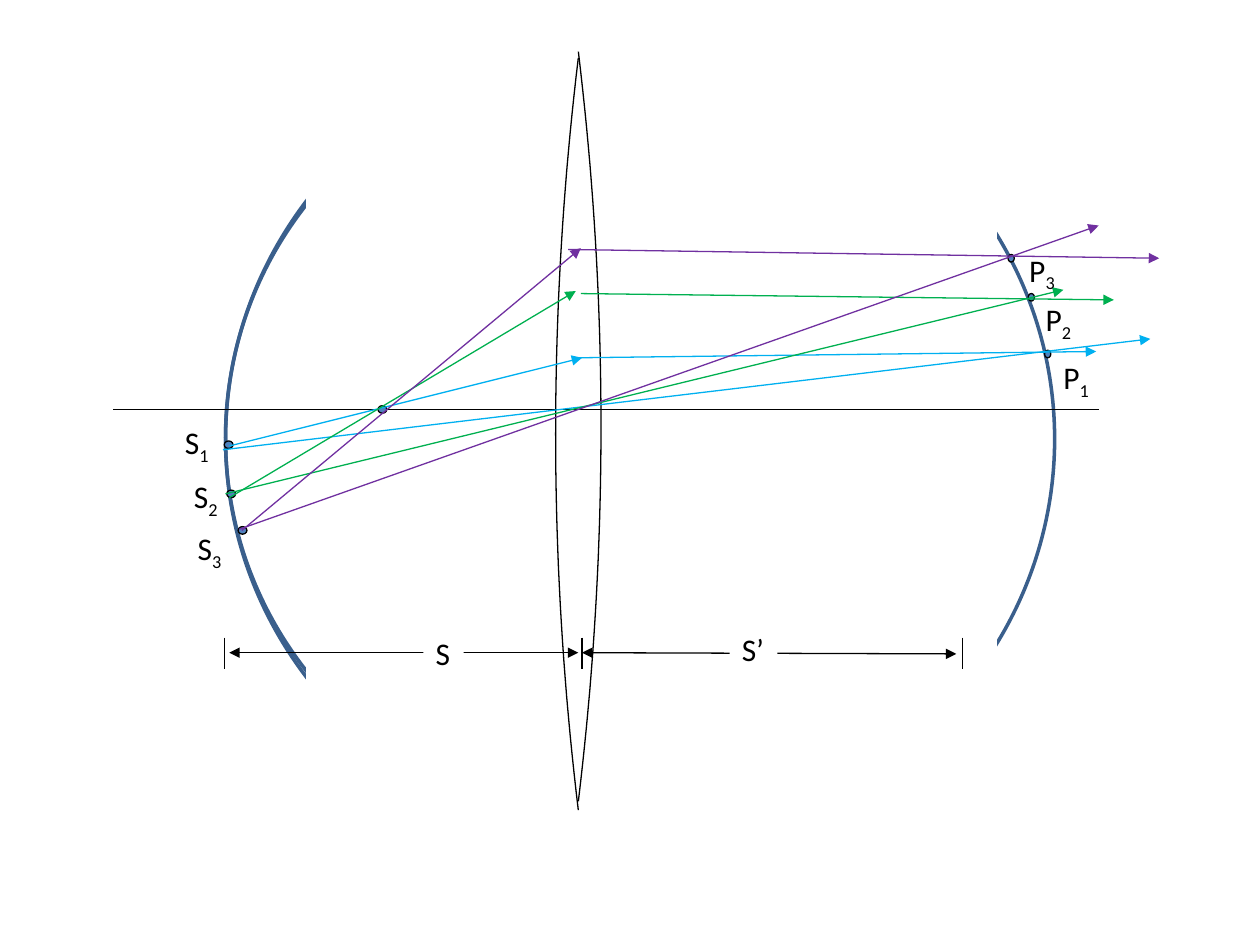
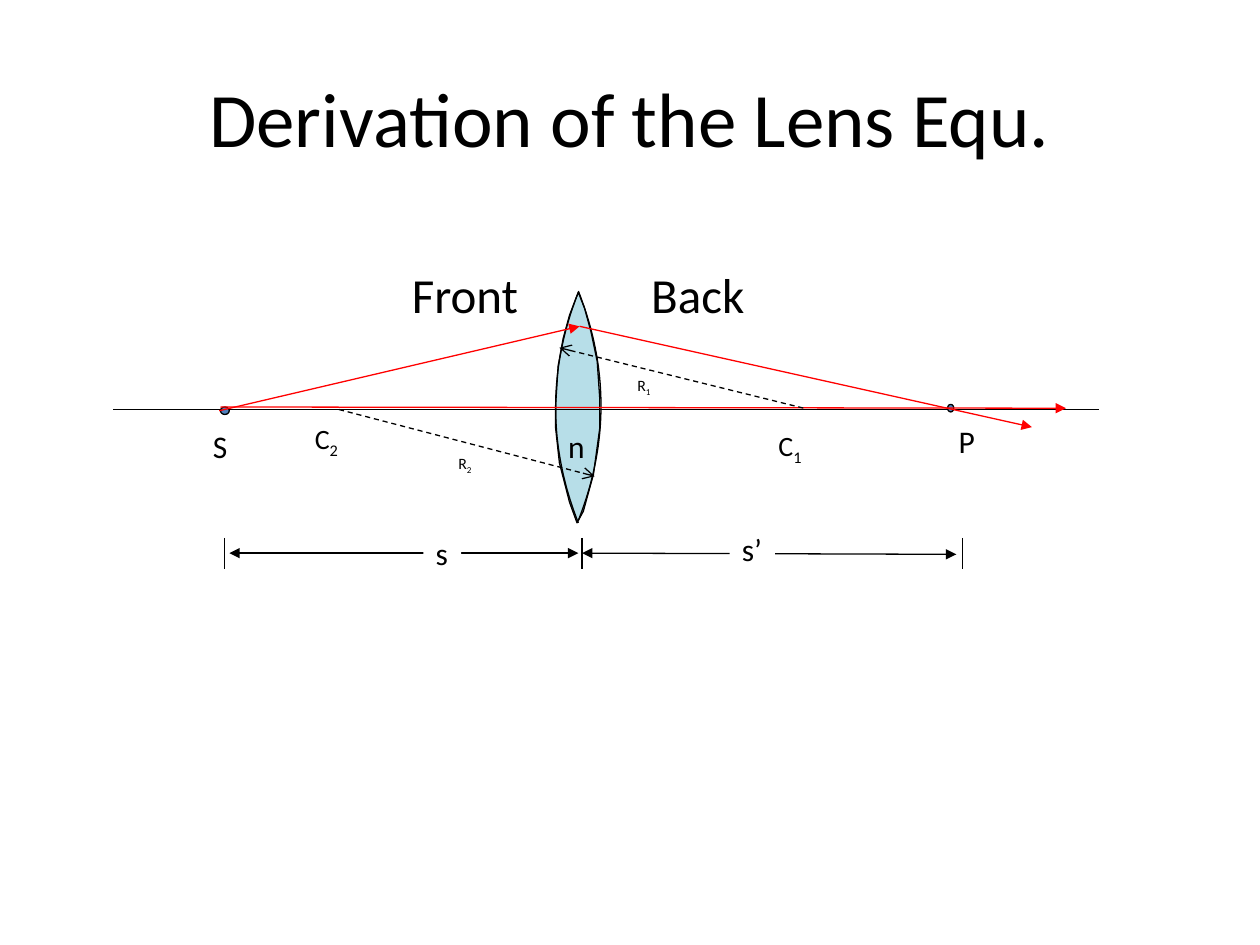
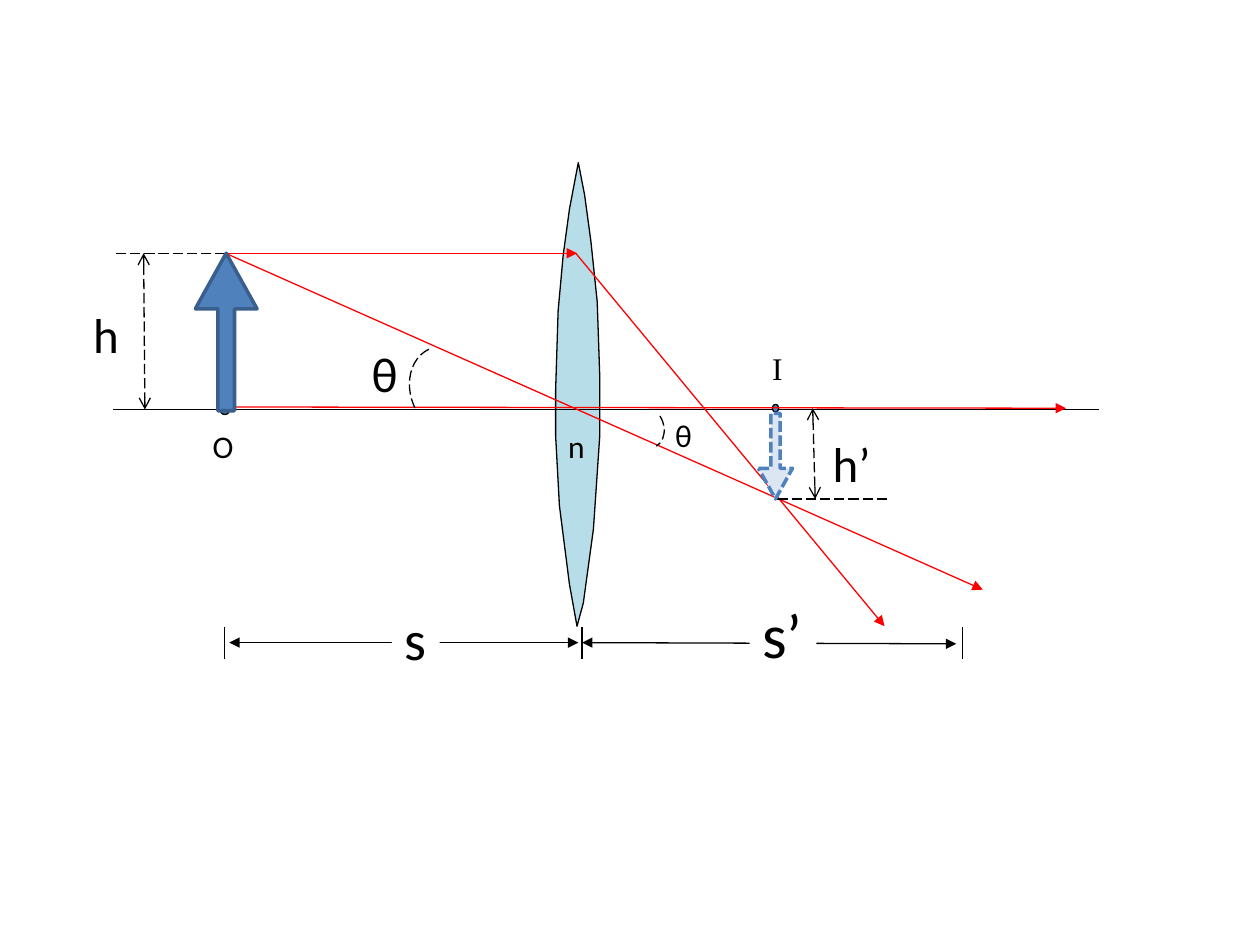
from itertools import groupby
from lxml.etree import SubElement
from pptx import Presentation
from pptx.dml.color import RGBColor
from pptx.enum.dml import MSO_LINE
from pptx.enum.shapes import MSO_CONNECTOR, MSO_SHAPE
from pptx.enum.text import MSO_ANCHOR, MSO_AUTO_SIZE, PP_ALIGN
from pptx.oxml.ns import qn
from pptx.util import Inches, Pt

BLACK, WHITE, RED = "000000", "FFFFFF", "FF0000"
SKY, GREEN, PLUM = "00B0F0", "00B050", "7030A0"
BLUE, NAVY, GLASS, PALE = "4F81BD", "3A5F8C", "B7DEE8", "DCE6F2"
DASH, LONG = MSO_LINE.DASH, MSO_LINE.LONG_DASH
AXIS = 3.25
TIP = 4.59
TICKS = (1.78, 4.62, 7.64)
# Lens outline: x in inches, y as a share of the lens height
GLASS_EDGE = [(4.59, 0), (4.52, 0.1), (4.47, 0.2), (4.43, 0.32), (4.41, 0.49),
              (4.41, 0.59), (4.44, 0.74), (4.52, 0.91), (4.58, 1), (4.63, 0.95),
              (4.71, 0.79), (4.76, 0.59), (4.76, 0.46), (4.74, 0.3),
              (4.69, 0.17), (4.64, 0.07)]


def paint(shape, fill=None, edge=None, width=0.75, dash=None):
    """Set fill and outline from hex strings; None means no paint."""
    shape.shadow.inherit = False
    for part, tone in ((shape.fill, fill), (shape.line.fill, edge)):
        if tone:
            part.solid()
            part.fore_color.rgb = RGBColor.from_string(tone)
        else:
            part.background()
    if edge:
        shape.line.width = Pt(width)
        shape.line.dash_style = dash


def link(slide, ends, tone=BLACK, dash=None, head=None, tail=None):
    """Draw a straight line, with optional arrowheads at its two ends."""
    wire = slide.shapes.add_connector(MSO_CONNECTOR.STRAIGHT, *map(Inches, ends))
    wire.line.color.rgb = RGBColor.from_string(tone)
    wire.line.width = Pt(0.75)
    wire.line.dash_style = dash
    edge = wire.line._get_or_add_ln()
    for tag, kind in (("a:headEnd", head), ("a:tailEnd", tail)):
        if kind:
            SubElement(edge, qn(tag)).set("type", kind)
    SubElement(wire._element.spPr, qn("a:effectLst"))


# Labels and spans: text, left, top, width, size; rays: ends, colour
# Arrows: ends, dash, head, tail; dots: left, top, width
# Curves: top, bottom, bulge; glass: top, height; row: height of the scale
FIELD = {
    "curves": [(0.41, 6.36, 0.18), (0.46, 6.43, -0.18)],
    "row": 5.18,
    "spans": [("S", 3.36, 4.98, 0.32, 18), ("S’", 5.79, 4.95, 0.38, 18)],
    "dots": [(8.29, 2.78, 0.05), (8.16, 2.33, 0.05), (8, 2.02, 0.05),
             (1.78, 3.5, 0.07), (1.8, 3.89, 0.07), (1.89, 4.18, 0.07),
             (3, 3.22, 0.07)],
    "rays": [((1.82, 3.54, 4.62, 2.84), SKY), ((4.57, 2.84, 8.7, 2.79), SKY),
             ((1.77, 3.57, 9.13, 2.69), SKY), ((1.79, 3.92, 8.44, 2.3), GREEN),
             ((1.82, 3.95, 4.57, 2.31), GREEN), ((4.61, 2.33, 8.84, 2.38), GREEN),
             ((1.92, 4.21, 4.61, 1.97), PLUM), ((4.51, 1.98, 9.2, 2.05), PLUM),
             ((1.9, 4.2, 8.72, 1.79), PLUM)],
    "labels": [("S1", 1.37, 3.31, 0.4, 18), ("S2", 1.44, 3.74, 0.4, 18),
               ("S3", 1.47, 4.15, 0.4, 18), ("P1", 8.34, 2.79, 0.42, 18),
               ("P2", 8.2, 2.33, 0.42, 18), ("P3", 8.07, 1.94, 0.42, 18)],
}
PROOF = {
    "glass": (2.32, 1.83),
    "curves": [(2.31, 4.13, 0.18), (2.32, 4.15, -0.18)],
    "row": 4.39,
    "spans": [("s", 3.36, 4.19, 0.3, 18), ("s’", 5.79, 4.16, 0.36, 18)],
    "dots": [(1.75, 3.23, 0.07), (7.52, 3.21, 0.05)],
    "rays": [((1.75, 3.23, 8.46, 3.24), RED), ((1.74, 3.26, 4.6, 2.59), RED),
             ((4.6, 2.59, 8.19, 3.39), RED)],
    "arrows": [((4.44, 2.76, 6.38, 3.24), DASH, "arrow", None),
               ((2.69, 3.25, 4.72, 3.78), DASH, None, "arrow")],
    "labels": [("S", 1.59, 3.34, 0.32, 18), ("P", 7.51, 3.3, 0.33, 18),
               ("C1", 6.08, 3.35, 0.61, 16), ("C2", 2.4, 3.3, 0.61, 16),
               ("n", 4.41, 3.34, 0.32, 18), ("R2", 3.54, 3.55, 0.34, 9),
               ("R1", 4.96, 2.93, 0.34, 9), ("Front", 3.17, 2.05, 1.62, 28),
               ("Back", 5.07, 2.05, 1.62, 28)],
}
IMAGE = {
    "glass": (1.29, 3.68),
    "row": 5.1,
    "spans": [("s", 3.11, 4.75, 0.38, 32), ("s’", 5.95, 4.68, 0.53, 36)],
    "dots": [(1.75, 3.23, 0.07), (6.13, 3.21, 0.05)],
    "rays": [((1.75, 3.23, 8.46, 3.24), RED), ((1.79, 2.01, 4.58, 2.01), RED),
             ((4.57, 2.01, 7.02, 4.97), RED), ((1.79, 2.01, 7.8, 4.68), RED)],
    "arrows": [((1.14, 2.01, 1.15, 3.25), LONG, "arrow", "arrow"),
               ((6.45, 3.24, 6.47, 3.96), LONG, "arrow", "arrow"),
               ((1.79, 2.01, 0.9, 2.01), LONG, None, None),
               ((7.04, 3.96, 6.15, 3.96), LONG, None, None)],
    "labels": [("O", 1.59, 3.34, 0.37, 18), ("I", 6.03, 2.72, 0.29, 18),
               ("n", 4.41, 3.34, 0.32, 18), ("h", 0.64, 2.37, 0.41, 28),
               ("h’", 6.51, 3.39, 0.51, 28), ("θ", 2.85, 2.68, 0.42, 28),
               ("θ", 5.26, 3.25, 0.33, 18)],
}

deck = Presentation()
deck.slide_width, deck.slide_height = Inches(10), Inches(7.5)
field, proof, image = [deck.slides.add_slide(deck.slide_layouts[6]) for _ in range(3)]

# Curved object and image fields: two ellipses with the middle masked
for kind, box, fill, edge in (
        (MSO_SHAPE.OVAL, (1.79, 0.3, 6.58, 6.37), None, NAVY),
        (MSO_SHAPE.OVAL, (1.79, 0.46, 6.1, 6.03), None, NAVY),
        (MSO_SHAPE.RECTANGLE, (2.44, 0.23, 5.46, 6.75), WHITE, WHITE)):
    paint(field.shapes.add_shape(kind, *map(Inches, box)), fill, edge, 2)

for slide, plan in ((field, FIELD), (proof, PROOF), (image, IMAGE)):
    shapes = slide.shapes
    if "glass" in plan:
        top, height = plan["glass"]
        rim = [(Inches(x), Inches(top + y * height)) for x, y in GLASS_EDGE]
        pen = shapes.build_freeform(*rim[0])
        pen.add_line_segments(rim[1:], close=True)
        paint(pen.convert_to_shape(), GLASS, BLACK)

    link(slide, (0.9, AXIS, 8.72, AXIS))
    for x, y, size in plan["dots"]:
        dot = shapes.add_shape(MSO_SHAPE.OVAL, *map(Inches, (x, y, size, 0.06)))
        paint(dot, BLUE, BLACK)

    for top, end, bulge in plan.get("curves", []):
        steps = [n / 20 for n in range(-20, 21)]
        rim = [(Inches(TIP + bulge * (1 - t * t)),
                Inches((top + end + t * (end - top)) / 2)) for t in steps]
        pen = shapes.build_freeform(*rim[0])
        pen.add_line_segments(rim[1:], close=False)
        paint(pen.convert_to_shape(), None, BLACK)

    row = plan["row"]
    for x in TICKS:
        link(slide, (x, row - 0.12, x, row + 0.13))
    for ends in ((1.82, row, 4.59, row), (4.62, row, 7.59, row + 0.01)):
        link(slide, ends, head="triangle", tail="triangle")
    for ends, tone in plan["rays"]:
        link(slide, ends, tone, tail="triangle")
    for ends, dash, head, tail in plan.get("arrows", []):
        link(slide, ends, BLACK, dash, head, tail)

    for label in plan["spans"] + plan["labels"]:
        text, x, y, width, size = label
        height = size / 60 + 0.1
        box = shapes.add_textbox(*map(Inches, (x, y, width, height)))
        if label in plan["spans"]:
            paint(box, WHITE)
        frame = box.text_frame
        frame.word_wrap = width > 0.6
        frame.auto_size = MSO_AUTO_SIZE.SHAPE_TO_FIT_TEXT
        face = {"name": "Times New Roman" if text == "I" else "Calibri",
                "size": Pt(size)}
        for low, chars in groupby(text, str.isdigit):
            run = frame.paragraphs[0].add_run()
            run.text = "".join(chars)
            run.font.color.rgb = RGBColor.from_string(BLACK)
            for key, value in face.items():
                setattr(run.font, key, value)
            if low:
                run._r.get_or_add_rPr().set("baseline", "-25000")

title = proof.shapes.add_textbox(*map(Inches, (0.5, 0.3, 9, 1.25))).text_frame
title.word_wrap = True
title.vertical_anchor = MSO_ANCHOR.MIDDLE
line = title.paragraphs[0]
line.text = "Derivation of the Lens Equ."
line.alignment = PP_ALIGN.CENTER
line.font.color.rgb = RGBColor.from_string(BLACK)
for key, value in {"name": "Calibri", "size": Pt(44)}.items():
    setattr(line.font, key, value)

# Object and image arrows
for kind, box, fill, edge, dash in (
        (MSO_SHAPE.UP_ARROW, (1.55, 2.01, 0.49, 1.25), BLUE, NAVY, None),
        (MSO_SHAPE.DOWN_ARROW, (6.02, 3.28, 0.27, 0.68), PALE, BLUE, MSO_LINE.SQUARE_DOT)):
    arrow = image.shapes.add_shape(kind, *map(Inches, box))
    arrow.adjustments[0], arrow.adjustments[1] = 0.27, 0.9
    paint(arrow, fill, edge, 2, dash)

# Angle marks
for box, turn in (((3.19, 2.81, 0.75, 0.6), 244.6), ((4.92, 3.23, 0.38, 0.3), 58.6)):
    arc = image.shapes.add_shape(MSO_SHAPE.ARC, *map(Inches, box))
    arc.rotation = turn
    paint(arc, None, BLACK, dash=LONG)

deck.save("out.pptx")
